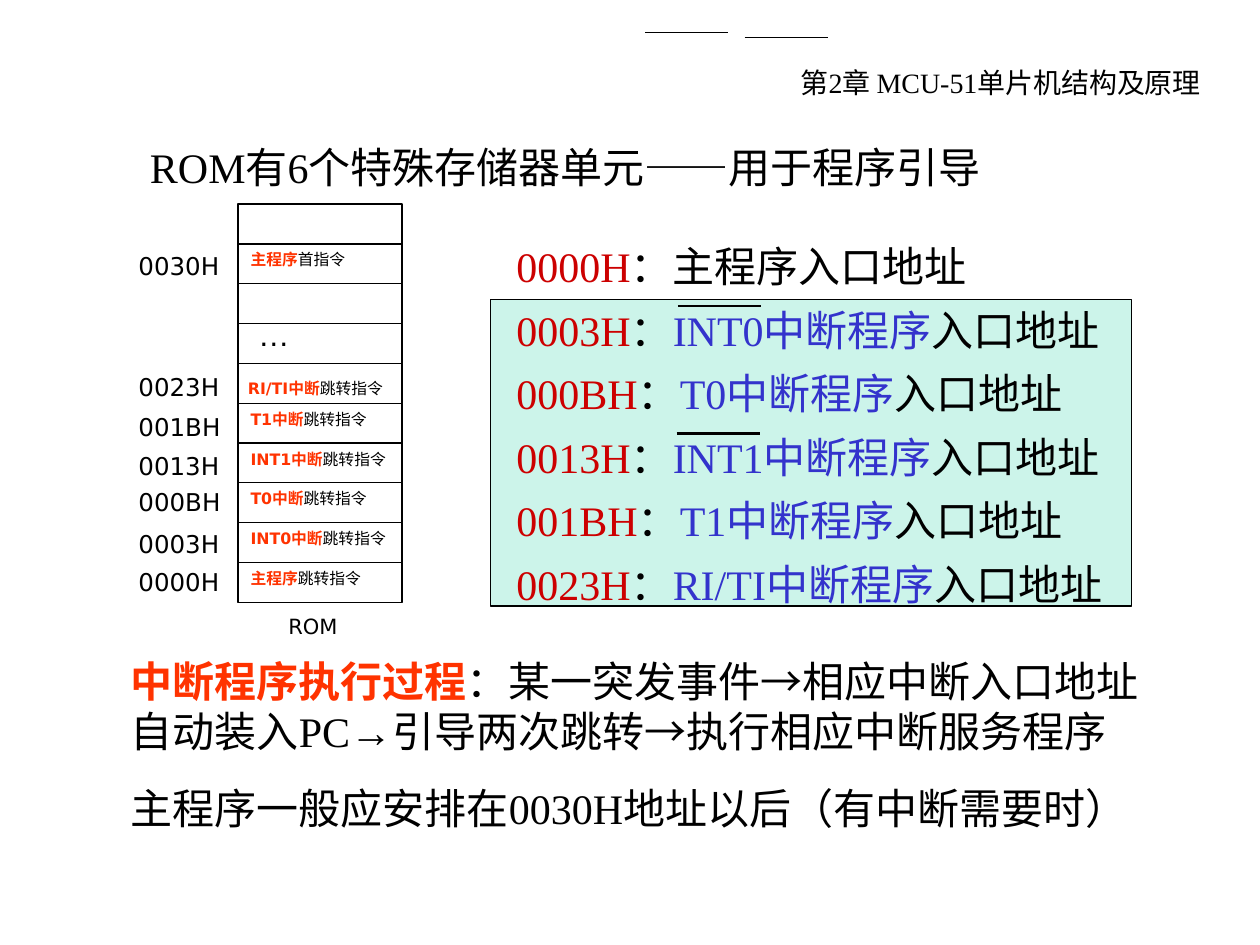
from lxml.etree import SubElement
from pptx import Presentation
from pptx.dml.color import RGBColor
from pptx.enum.shapes import MSO_CONNECTOR, MSO_SHAPE
from pptx.enum.text import MSO_ANCHOR, PP_ALIGN
from pptx.oxml.ns import qn
from pptx.util import Inches, Pt

deck = Presentation()
deck.slide_width, deck.slide_height = Inches(10), Inches(7.5)
slide = deck.slides.add_slide(deck.slide_layouts[5])
col, row = deck.slide_width / 100, deck.slide_height / 75

SERIF, SANS = "Times New Roman", "DejaVu Sans"
BLACK, ORANGE, RED, BLUE = "000000", "FF3300", "CC0000", "3333CC"


def color(target, value):
    target.rgb = RGBColor.from_string(value)


def write(box, area, paragraphs, size, font, gap=0):
    left, top, width, height = area
    box.left, box.top = int(left * col), int(top * row)
    box.width, box.height = int(width * col), int(height * row)
    frame = box.text_frame
    frame.word_wrap = True
    frame.vertical_anchor = MSO_ANCHOR.TOP
    for index, parts in enumerate(paragraphs):
        paragraph = frame.add_paragraph() if index else frame.paragraphs[0]
        paragraph.space_before = Pt(gap)
        paragraph.alignment = PP_ALIGN.LEFT
        for text, tone in parts:
            run = paragraph.add_run()
            run.text = text
            run.font.size, run.font.name = Pt(size), font
            run.font.bold = tone == ORANGE
            color(run.font.color, tone)
    return frame


panel = slide.shapes.add_shape(
    MSO_SHAPE.RECTANGLE, int(38.9 * col), int(23.8 * row), int(50.9 * col), int(24.3 * row))
panel.shadow.inherit = False
panel.fill.solid()
color(panel.fill.fore_color, "00CC99")
tint = panel.fill._xPr.find(qn("a:solidFill"))[0]
SubElement(tint, qn("a:alpha"), val="20000")
color(panel.line.color, BLACK)
panel.line.width = Pt(0.75)

heading = write(slide.shapes.title, (10.9, 11.2, 71, 4.6),
                [[("ROM有6个特殊存储器单元——用于程序引导", BLACK)]], 24, SERIF)
heading.paragraphs[0].line_spacing = 0.9

chapter = write(slide.shapes.add_textbox(0, 0, 0, 0), (58.7, 4.7, 37.6, 3.6),
                [[("第2章 MCU-51单片机结构及原理", BLACK)]], 16, SERIF)
chapter.paragraphs[0].alignment = PP_ALIGN.RIGHT

process = [
    [("中断程序执行过程", ORANGE),
     ("：某一突发事件→相应中断入口地址自动装入PC→引导两次跳转→执行相应中断服务程序", BLACK)],
    [("主程序一般应安排在0030H地址以后（有中断需要时）", BLACK)],
]
write(slide.shapes.add_textbox(0, 0, 0, 0), (9.4, 51.5, 84, 15.1), process, 24, SERIF, 15)

memory_left, memory_top, memory_width, cell_height = 18.9, 16.2, 13, 3.16
memory = [
    ("", "", "", 0),
    ("0030H", "主程序", "首指令", 19.4),
    ("", "", "", 0),
    ("", "", "", 0),
    ("0023H", "RI/TI中断", "跳转指令", 29),
    ("001BH", "T1中断", "跳转指令", 32.2),
    ("0013H", "INT1中断", "跳转指令", 35.3),
    ("000BH", "T0中断", "跳转指令", 38.2),
    ("0003H", "INT0中断", "跳转指令", 41.5),
    ("0000H", "主程序", "跳转指令", 44.5),
]
for index, (address, source, action, address_top) in enumerate(memory):
    top = memory_top + index * cell_height
    cell = slide.shapes.add_shape(
        MSO_SHAPE.RECTANGLE, int(memory_left * col), int(top * row),
        int(memory_width * col), int(cell_height * row))
    cell.shadow.inherit = False
    cell.fill.background()
    color(cell.line.color, BLACK)
    cell.line.width = Pt(0.75)
    if address:
        left, drop = (18.7, 0.7) if address == "0023H" else (memory_left, 0)
        write(slide.shapes.add_textbox(0, 0, 0, 0), (left, top + drop, memory_width, 2.5),
              [[(source, ORANGE), (action, BLACK)]], 9, SANS)
        write(slide.shapes.add_textbox(0, 0, 0, 0), (10, address_top, 11.8, 3.4),
              [[(address, BLACK)]], 14, SANS)
write(slide.shapes.add_textbox(0, 0, 0, 0), (19.5, 24.5, 10.4, 4), [[("…", BLACK)]], 18, "Arial")
write(slide.shapes.add_textbox(0, 0, 0, 0), (21.9, 48.2, 8.8, 3), [[("ROM", BLACK)]], 12, SANS)

vectors = [("0003H", "INT0"), ("000BH", "T0"), ("0013H", "INT1"), ("001BH", "T1"), ("0023H", "RI/TI")]
entries = [[("0000H", RED), ("：主程序入口地址", BLACK)]]
for address, source in vectors:
    entries.append([(address, RED), ("：", BLACK), (source + "中断程序", BLUE), ("入口地址", BLACK)])
write(slide.shapes.add_textbox(0, 0, 0, 0), (40, 18.6, 50.9, 30.2), entries, 24, SERIF, 7.5)

for left, top, weight in [(51.2, 2.6, 0.75), (59.1, 3, 0.75), (53.7, 34.4, 1.25), (53.8, 24.3, 1.25)]:
    overbar = slide.shapes.add_connector(
        MSO_CONNECTOR.STRAIGHT, int(left * col), int(top * row),
        int((left + 6.6) * col), int(top * row))
    color(overbar.line.color, BLACK)
    overbar.line.width = Pt(weight)
    SubElement(overbar._element.spPr, qn("a:effectLst"))

deck.save("out.pptx")
